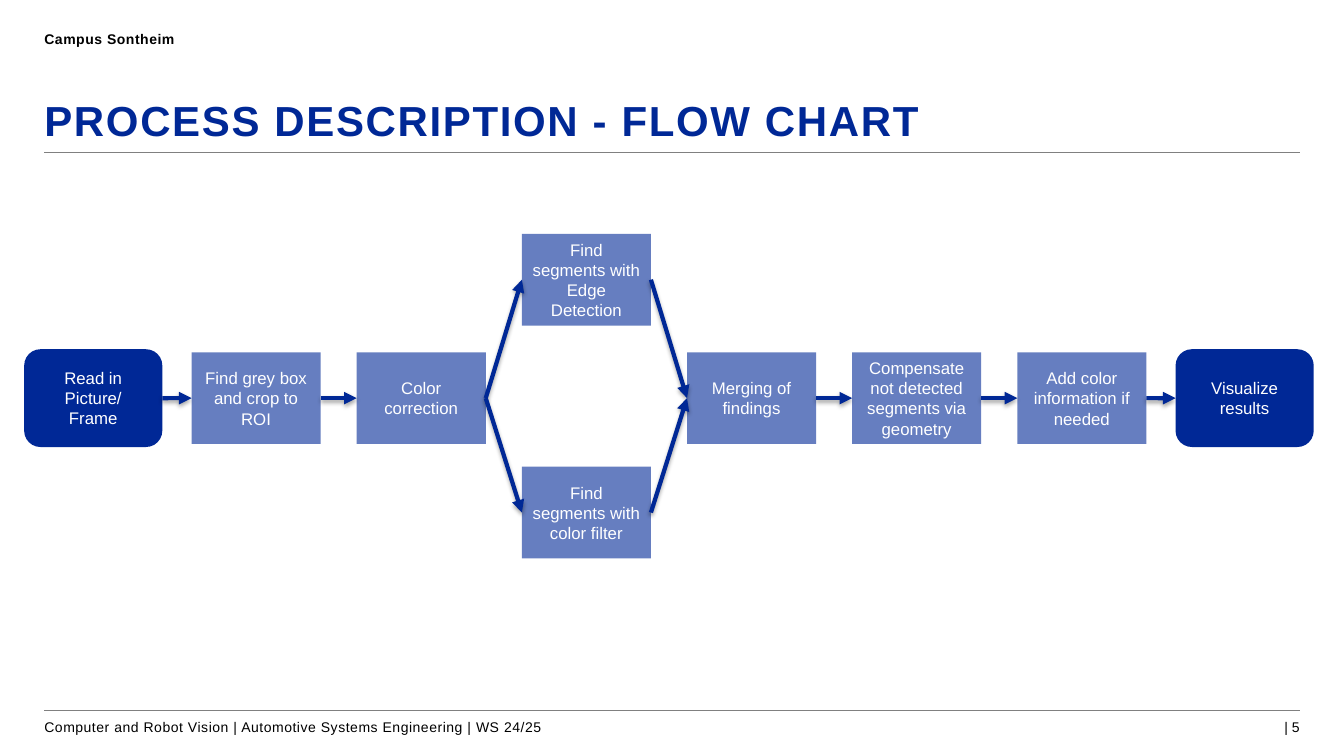
from lxml import etree
from pptx import Presentation
from pptx.dml.color import RGBColor
from pptx.enum.shapes import MSO_CONNECTOR as Link, MSO_SHAPE as Shape
from pptx.enum.text import MSO_ANCHOR as Anchor, PP_ALIGN as Align
from pptx.oxml import parse_xml
from pptx.oxml.ns import nsdecls, qn
from pptx.util import Inches, Pt

NAVY = RGBColor(0x00, 0x28, 0x96)
BLUE = RGBColor(0x66, 0x7E, 0xC0)
GREY = RGBColor(0x80, 0x80, 0x80)
BLACK = RGBColor(0, 0, 0)
WHITE = RGBColor(255, 255, 255)

LEFT, RIGHT = 0.44, 12.89
STEP_W, STEP_H = 1.28, 0.91
END_W, END_H = 1.37, 0.97
SHADOW = (
    f'<a:effectLst {nsdecls("a")}>'
    f'<a:outerShdw blurRad="{Pt(3.1)}" dist="{Pt(1.8)}" dir="5400000" rotWithShape="0">'
    '<a:srgbClr val="000000"><a:alpha val="35000"/></a:srgbClr>'
    '</a:outerShdw></a:effectLst>'
)


def style(para, size, color, bold=False, align=Align.LEFT):
    para.alignment = align
    font = para.font
    font.name, font.size, font.bold = "Arial", Pt(size), bold
    font.color.rgb = color


def fill_text(frame, text, space=0):
    """Put text in a frame without insets; space is the tracking in points."""
    frame.margin_left = frame.margin_right = 0
    frame.margin_top = frame.margin_bottom = 0
    frame.word_wrap = True
    frame.vertical_anchor = Anchor.TOP
    para = frame.paragraphs[0]
    run = para.add_run()
    run.text = text
    if space:
        run._r.get_or_add_rPr().set("spc", str(round(space * 100)))
    return para


def add_label(slide, box, text, space=0, **look):
    frame = slide.shapes.add_textbox(*map(Inches, box)).text_frame
    style(fill_text(frame, text, space), 10, BLACK, **look)


def add_rule(slide, y):
    rule = slide.shapes.add_connector(
        Link.STRAIGHT, Inches(LEFT), Inches(y), Inches(RIGHT), Inches(y))
    rule.line.color.rgb = GREY
    rule.line.width = Pt(0.5)
    etree.SubElement(rule._element.spPr, qn("a:effectLst"))


def add_head(slide, box):
    x, y, w, h = box
    add_label(slide, (x, y, 8.07, 0.24), "Campus Sontheim", 0.4, bold=True)
    title = slide.shapes.title
    title.left, title.top = Inches(x), Inches(y + 0.68)
    title.width, title.height = Inches(w), Inches(0.53)
    para = fill_text(title.text_frame, "PROCESS DESCRIPTION - FLOW CHART", 1.2)
    para.line_spacing = 0.94
    style(para, 30, NAVY, bold=True)
    add_rule(slide, y + h)


def add_foot(slide, box):
    x, y, w, h = box
    add_rule(slide, y)
    top = y + 0.08
    add_label(slide, (x, top, 8.07, 0.24),
              "Computer and Robot Vision | Automotive Systems Engineering | WS 24/25", 0.4)
    add_label(slide, (x + w - 2.08, top, 2.08, 0.24), "| 5", align=Align.RIGHT)


def add_node(group, kind, x, mid, size, color, text):
    """Add a box whose left side is at x and whose middle height is mid."""
    w, h = size
    node = group.shapes.add_shape(
        kind, Inches(x), Inches(mid - h / 2), Inches(w), Inches(h))
    node.shadow.inherit = False
    node.fill.solid()
    node.fill.fore_color.rgb = color
    node.line.fill.background()
    frame = node.text_frame
    frame.word_wrap = True
    frame.vertical_anchor = Anchor.MIDDLE
    frame.text = text
    style(frame.paragraphs[0], 12, WHITE, align=Align.CENTER)
    return node


def add_arrow(group, start, end):
    arrow = group.shapes.add_connector(Link.STRAIGHT, 0, 0, 0, 0)
    arrow.begin_connect(start, 3)
    arrow.end_connect(end, 1)
    arrow.line.color.rgb = NAVY
    arrow.line.width = Pt(3)
    etree.SubElement(arrow.line._get_or_add_ln(), qn("a:tailEnd"), type="triangle")
    arrow._element.spPr.append(parse_xml(SHADOW))


def add_flow(slide, box):
    x, y, w, h = box
    group = slide.shapes.add_group_shape()
    mid = y + 1.63
    high, low = y + STEP_H / 2, y + h - STEP_H / 2
    first = x + 1.66
    pitch = (w - 2 * 1.66 - STEP_W) / 5

    def end(left, text):
        return add_node(group, Shape.ROUNDED_RECTANGLE, left, mid,
                        (END_W, END_H), NAVY, text)

    def step(col, level, text):
        return add_node(group, Shape.RECTANGLE, first + col * pitch, level,
                        (STEP_W, STEP_H), BLUE, text)

    read = end(x, "Read in Picture/ Frame")
    show = end(x + w - END_W, "Visualize results")
    crop = step(0, mid, "Find grey box and crop to ROI")
    tint = step(1, mid, "Color correction")
    edge = step(2, high, "Find segments with Edge Detection")
    sift = step(2, low, "Find segments with color filter")
    merge = step(3, mid, "Merging of findings")
    mend = step(4, mid, "Compensate not detected segments via geometry")
    info = step(5, mid, "Add color information if needed")

    paths = [(read, crop, tint), (tint, edge, merge), (tint, sift, merge),
             (merge, mend, info, show)]
    for chain in paths:
        for pair in zip(chain, chain[1:]):
            add_arrow(group, *pair)


def main():
    deck = Presentation()
    deck.slide_width, deck.slide_height = Inches(13.33), Inches(7.5)
    slide = deck.slides.add_slide(deck.slide_layouts[5])
    add_head(slide, (LEFT, 0.3, RIGHT - LEFT, 1.21))
    add_foot(slide, (LEFT, 7.05, RIGHT - LEFT, 0.32))
    add_flow(slide, (0.24, 2.32, 12.79, 3.22))
    deck.save("out.pptx")


if __name__ == "__main__":
    main()
